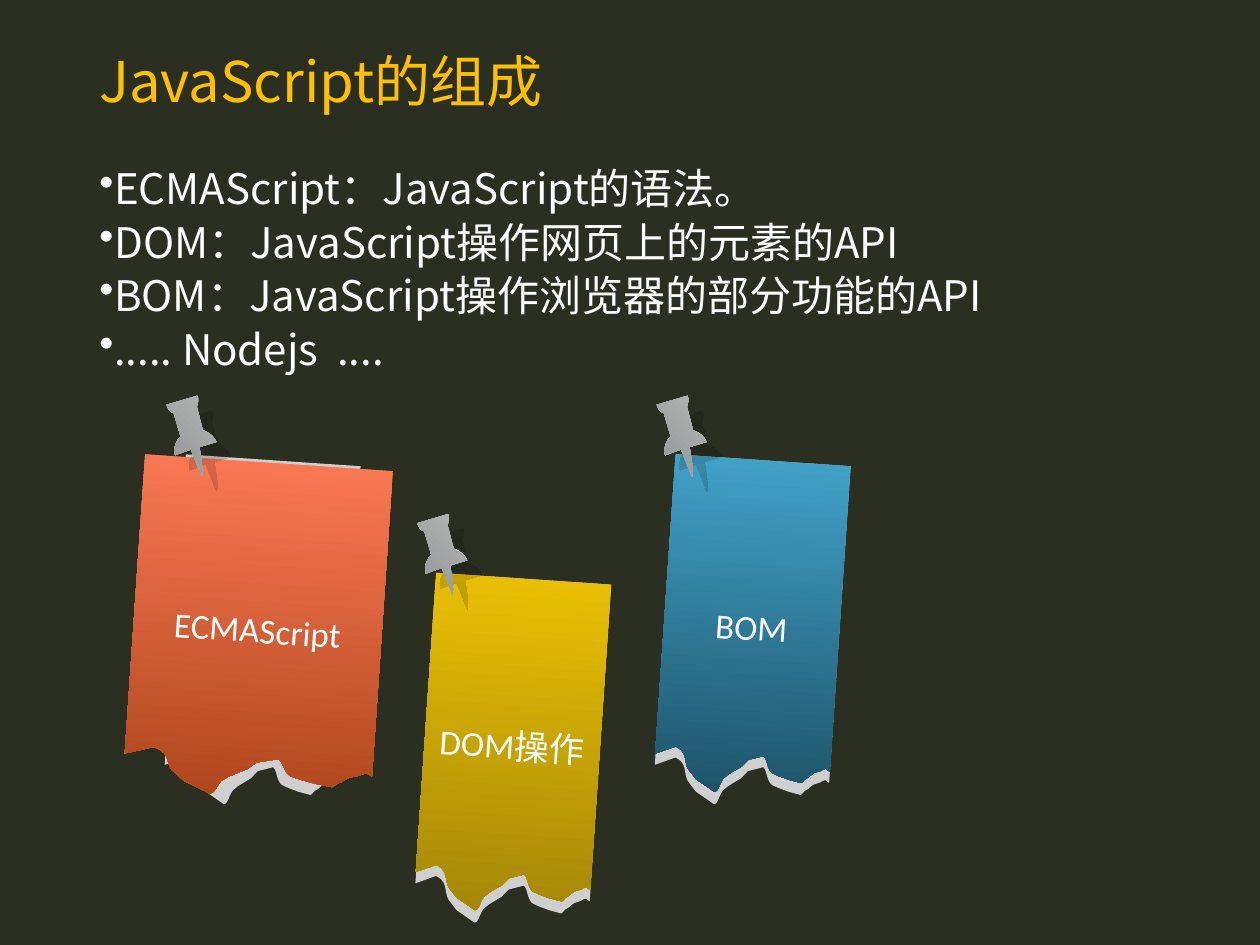
from lxml.etree import SubElement
from pptx import Presentation
from pptx.dml.color import RGBColor
from pptx.enum.text import MSO_ANCHOR, PP_ALIGN
from pptx.oxml.ns import qn
from pptx.util import Inches, Pt

COLORS = {
    "background": "2A2F21", "title": "FFC000", "text": "FFFFFF", "backing": "CFCFCF",
    "shadow": "000000", "pin": ("BDBDBD", "8A8F8F"), "orange": ("FC7A56", "AD451B"),
    "yellow": ("EBC103", "A38609"), "blue": ("42A3CA", "1D5267"),
}
CJK = "Noto Sans CJK SC"
FORMATS = {
    "title": {"name": CJK, "size": Pt(32), "color": "title"},
    "body": {"name": CJK, "size": Pt(24), "color": "text"},
    "note": {"name": "Calibri", "size": Pt(20), "color": "text"},
}

# Outlines before rotation, in inches: 2 numbers make a line, 6 a curve
NOTE_W, NOTE_H, BACKING_H = 1.39, 2.65, 2.75
NOTE_TILT = 3.9
NOTE = [
    (0, 0), (0, 2.47), (.16, 2.4), (.26, 2.44, .23, 2.52, .27, 2.58),
    (.34, 2.66), (.49, 2.75), (.52, 2.75, .53, 2.67, .55, 2.64),
    (.57, 2.62, .57, 2.62, .59, 2.6), (.69, 2.53), (.74, 2.47), (.86, 2.43),
    (.89, 2.45, .89, 2.52, .93, 2.56), (.96, 2.58, 1.04, 2.6, 1.07, 2.61),
    (1.17, 2.63), (1.19, 2.62, 1.19, 2.6, 1.21, 2.59),
    (1.23, 2.58, 1.25, 2.55, 1.27, 2.54), (1.32, 2.52),
    (1.33, 2.51, 1.35, 2.5, 1.36, 2.5), (1.39, 2.52), (1.39, 0),
]
PIN_TILT = 298.5
PIN = [
    (.37, 0), (.55, .18), (.53, .21, .5, .21, .47, .22), (.33, .35),
    (.34, .4, .33, .45, .3, .49), (.2, .39), (.13, .44, .08, .49, 0, .52),
    (.05, .46, .1, .4, .15, .34), (.05, .25), (.08, .22, .12, .21, .16, .21),
    (.17, .21, .18, .21, .2, .22), (.34, .08), (.33, .05, .35, .02, .37, 0),
]


def trace(outline, steps=6):
    """Turn lines and cubic curves into a list of points."""
    points = []
    for part in outline:
        if len(part) == 2:
            points.append(part)
            continue
        a, b, c, d = points[-1], part[:2], part[2:4], part[4:]
        for i in range(1, steps + 1):
            t = i / steps
            u = 1 - t
            points.append(tuple(
                u**3 * a[k] + 3 * u * u * t * b[k] + 3 * u * t * t * c[k] + t**3 * d[k]
                for k in (0, 1)))
    return points


class Deck:
    def __init__(self, prs):
        self.slide = prs.slides.add_slide(prs.slide_layouts[6])
        fill = self.slide.background.fill
        fill.solid()
        fill.fore_color.rgb = RGBColor.from_string(COLORS["background"])

    def style(self, font, kind):
        for key, value in FORMATS[kind].items():
            if key == "color":
                font.color.rgb = RGBColor.from_string(COLORS[value])
            else:
                setattr(font, key, value)

    def run(self, p, text, kind):
        r = p.add_run()
        r.text = text
        self.style(r.font, kind)
        if FORMATS[kind]["name"] == CJK:
            SubElement(r.font._element, qn("a:ea"), typeface=CJK)

    def text(self, box, lines, kind, spacing, before=0, bullet=None, anchor=MSO_ANCHOR.TOP):
        tf = self.slide.shapes.add_textbox(*map(Inches, box)).text_frame
        tf.word_wrap = True
        tf.vertical_anchor = anchor
        for i, line in enumerate(lines):
            p = tf.paragraphs[0] if i == 0 else tf.add_paragraph()
            p.line_spacing = spacing
            p.space_before = Pt(before if i else 0)
            if bullet:
                SubElement(p._p.get_or_add_pPr(), qn("a:buChar"), char=bullet)
            self.run(p, line, kind)

    def outline(self, left, top, points, color, tilt, angle=0):
        points = [(Inches(left + x), Inches(top + y)) for x, y in points]
        builder = self.slide.shapes.build_freeform(*points[0], scale=1.0)
        builder.add_line_segments(points[1:], close=True)
        sp = builder.convert_to_shape()
        sp.rotation = tilt
        sp.shadow.inherit = False
        sp.line.fill.background()
        tones = COLORS[color]
        if isinstance(tones, str):
            sp.fill.solid()
            sp.fill.fore_color.rgb = RGBColor.from_string(tones)
        else:
            sp.fill.gradient()
            sp.fill.gradient_angle = 360 - angle
            for stop, tone in zip(sp.fill.gradient_stops, tones):
                stop.color.rgb = RGBColor.from_string(tone)
        return sp

    def paper(self, left, top, width, height, color):
        points = [(x * width / NOTE_W, y * height / BACKING_H) for x, y in trace(NOTE)]
        return self.outline(left, top, points, color, NOTE_TILT, 90)

    def note(self, left, top, width, color, label):
        sp = self.paper(left, top, width, NOTE_H, color)
        tf = sp.text_frame
        tf.word_wrap = True
        tf.vertical_anchor = MSO_ANCHOR.MIDDLE
        margins = {"left": .08, "top": .05, "right": .08, "bottom": .12}
        for side, value in margins.items():
            setattr(tf, f"margin_{side}", Inches(value))
        p = tf.paragraphs[0]
        p.alignment = PP_ALIGN.CENTER
        p.line_spacing = 1.2
        self.run(p, label, "note")

    def pin(self, left, top):
        sp = self.outline(left, top, trace(PIN), "pin", PIN_TILT, 196)
        effects = sp._element.spPr.find(qn("a:effectLst"))
        shadow = SubElement(effects, qn("a:outerShdw"), blurRad="0", dist=str(Pt(12.1)),
                            dir=str(45 * 60000), algn="ctr", rotWithShape="0")
        tone = SubElement(shadow, qn("a:srgbClr"), val=COLORS["shadow"])
        SubElement(tone, qn("a:alpha"), val="14000")


def main():
    prs = Presentation()
    prs.slide_width, prs.slide_height = Inches(10), Inches(7.5)
    deck = Deck(prs)

    # Title and bullets
    deck.text((.69, .22, 8.63, .9), ["JavaScript的组成"], "title", .9,
              anchor=MSO_ANCHOR.MIDDLE)
    deck.text((.69, 1.32, 8.63, 5.44), [
        "ECMAScript：JavaScript的语法。",
        "DOM：JavaScript操作网页上的元素的API",
        "BOM：JavaScript操作浏览器的部分功能的API",
        "..... Nodejs  ....",
    ], "body", .8, before=7.5, bullet="•")

    # Pinned notes: backing place, front left and top, width, colour, label
    notes = [
        (1.38, 3.65, 1.06, 3.67, 1.97, "orange", "ECMAScript"),
        (3.37, 4.59, 3.37, 4.59, NOTE_W, "yellow", "DOM操作"),
        (5.27, 3.65, 5.27, 3.65, NOTE_W, "blue", "BOM"),
    ]
    for left, top, front_left, front_top, width, color, label in notes:
        deck.paper(left, top, NOTE_W, BACKING_H, "backing")
        deck.note(front_left, front_top, width, color, label)
        deck.pin(left - .15, top - .49)

    prs.save("out.pptx")


if __name__ == "__main__":
    main()
